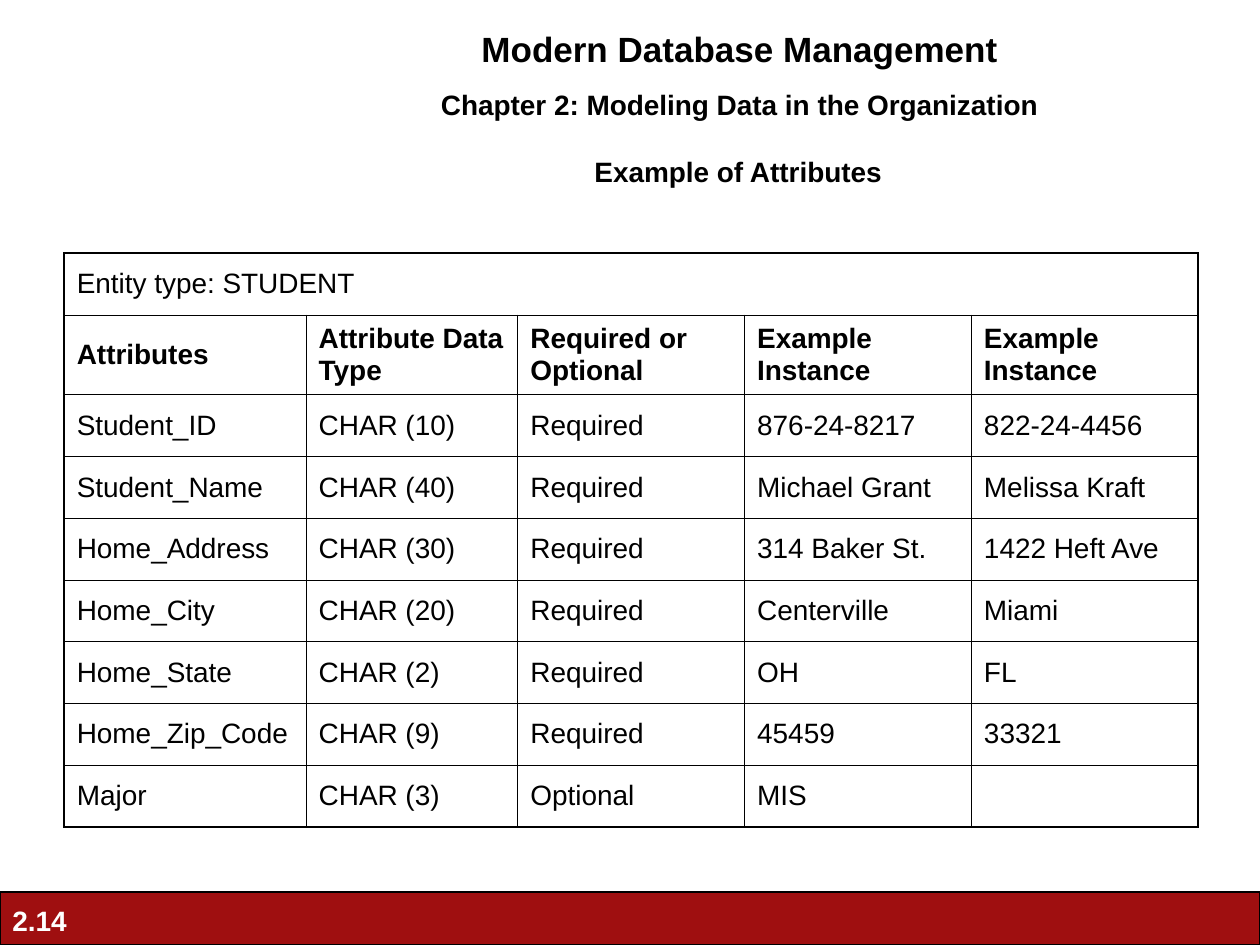
from lxml.etree import SubElement
from pptx import Presentation
from pptx.dml.color import RGBColor
from pptx.enum.shapes import MSO_SHAPE as Shape
from pptx.enum.text import MSO_ANCHOR as Anchor, PP_ALIGN as Align
from pptx.oxml.ns import qn
from pptx.util import Inches, Pt

BLACK, WHITE, RED = "000000", "FFFFFF", "9F0F10"
THIN, THICK = 0.45, 1.08
COLUMNS = [1.92, 1.68, 1.8, 1.8, 1.8]
ROWS = [0.49, 0.63] + [0.49] * 7
ATTRIBUTES = [
    ["Entity type: STUDENT", "", "", "", ""],
    ["Attributes", "Attribute Data Type", "Required or Optional", "Example Instance", "Example Instance"],
    ["Student_ID", "CHAR (10)", "Required", "876-24-8217", "822-24-4456"],
    ["Student_Name", "CHAR (40)", "Required", "Michael Grant", "Melissa Kraft"],
    ["Home_Address", "CHAR (30)", "Required", "314 Baker St.", "1422 Heft Ave"],
    ["Home_City", "CHAR (20)", "Required", "Centerville", "Miami"],
    ["Home_State", "CHAR (2)", "Required", "OH", "FL"],
    ["Home_Zip_Code", "CHAR (9)", "Required", "45459", "33321"],
    ["Major", "CHAR (3)", "Optional", "MIS", ""],
]
TEXTS = [
    ((0, 7.12, 0.76, 0.37), Anchor.TOP, Align.LEFT, WHITE, [("2.14", 16, 10)]),
    ((3.08, 0.17, 5.58, 0.84), Anchor.TOP, Align.CENTER, BLACK,
     [("Modern Database Management", 20, 12.5), ("Chapter 2: Modeling Data in the Organization", 16, 10)]),
    ((3.87, 1.14, 4.04, 0.44), Anchor.MIDDLE, Align.CENTER, BLACK, [("Example of Attributes ", 16, 0)]),
]


def color(value):
    return RGBColor.from_string(value)


def style(para, size, bold, ink, before):
    para.space_before = Pt(before)
    para.font.size = Pt(size)
    for span in para.runs:
        span.font.name = "Arial"
        span.font.size = Pt(size)
        span.font.bold = bold
        span.font.color.rgb = color(ink)


deck = Presentation()
deck.slide_width, deck.slide_height = Inches(10), Inches(7.5)
page = deck.slides.add_slide(deck.slide_layouts[6])

footer = page.shapes.add_shape(Shape.RECTANGLE, 0, Inches(7.08), deck.slide_width, Inches(0.42))
footer.shadow.inherit = False
footer.fill.solid()
footer.fill.fore_color.rgb = color(RED)
footer.line.color.rgb = color(BLACK)
footer.line.width = Pt(0.75)

for place, anchor, align, ink, lines in TEXTS:
    box = page.shapes.add_textbox(*map(Inches, place))
    frame = box.text_frame
    frame.word_wrap = True
    frame.vertical_anchor = anchor
    frame.text = "\n".join(text for text, size, before in lines)
    for para, (text, size, before) in zip(frame.paragraphs, lines):
        para.alignment = align
        style(para, size, True, ink, before)

table = page.shapes.add_table(
    len(ROWS), len(COLUMNS), Inches(0.51), Inches(2.01), Inches(sum(COLUMNS)), Inches(sum(ROWS))
).table
table.first_row = table.horz_banding = False
for column, width in zip(table.columns, COLUMNS):
    column.width = Inches(width)
for row, height in zip(table.rows, ROWS):
    row.height = Inches(height)
table.cell(0, 0).merge(table.cell(0, len(COLUMNS) - 1))

for r, values in enumerate(ATTRIBUTES):
    for c, value in enumerate(values):
        cell = table.cell(r, c)
        cell.vertical_anchor = Anchor.MIDDLE
        cell.text_frame.text = value
        style(cell.text_frame.paragraphs[0], 16, r == 1, BLACK, 4)
        outer = {
            "a:lnL": c == 0,
            "a:lnR": r == 0 or c == len(COLUMNS) - 1,
            "a:lnT": r == 0,
            "a:lnB": r == len(ROWS) - 1,
        }
        properties = cell._tc.get_or_add_tcPr()
        for side, thick in outer.items():
            border = SubElement(properties, qn(side), w=str(Pt(THICK if thick else THIN)))
            fill = SubElement(border, qn("a:solidFill"))
            SubElement(fill, qn("a:srgbClr"), val=BLACK)
        cell.fill.background()

deck.save("out.pptx")
